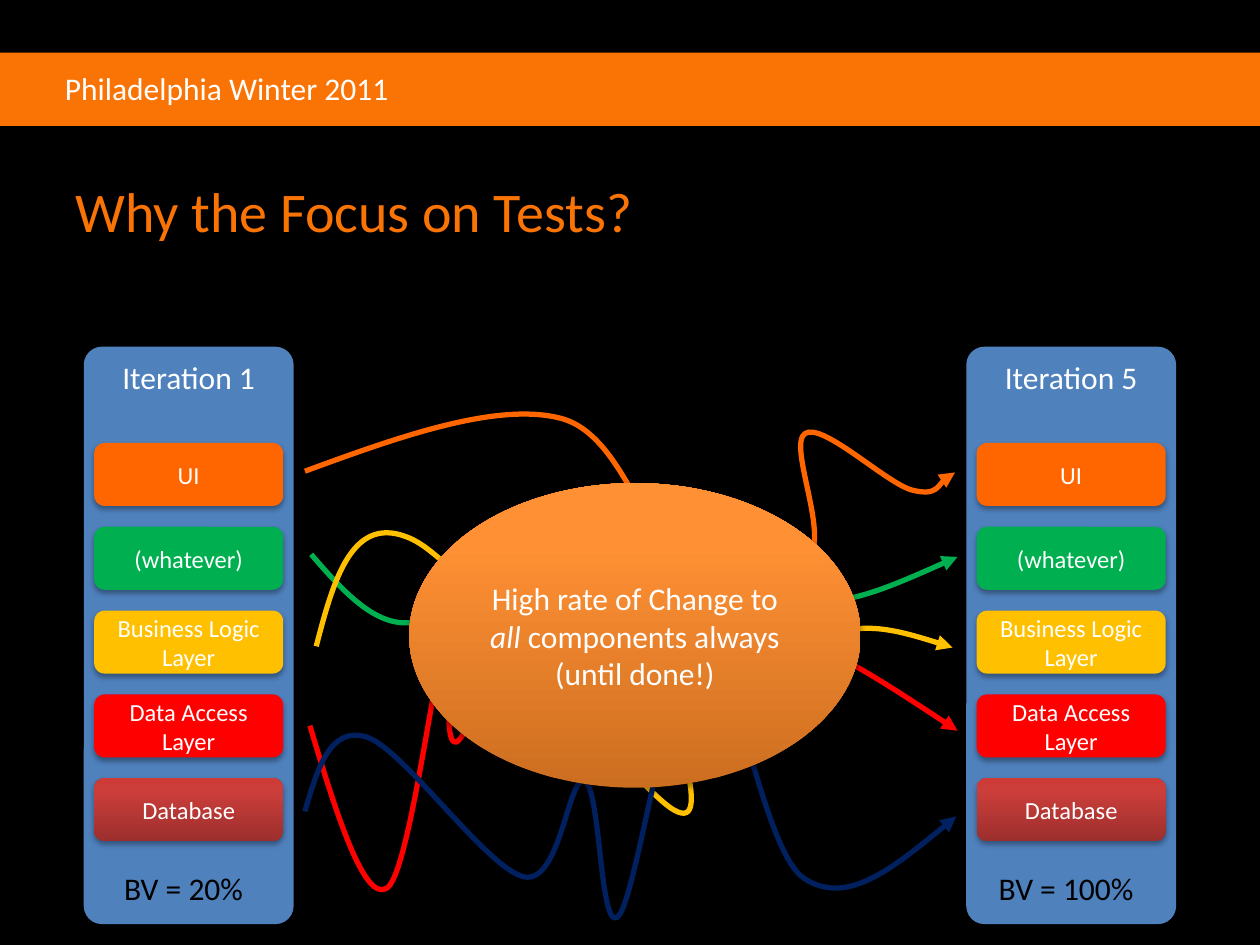
from copy import deepcopy

from lxml import etree
from pptx import Presentation, util as u
from pptx.dml.color import RGBColor
from pptx.enum import shapes, text
from pptx.oxml.ns import qn

THEME = {
    "font": "Calibri",
    "title": 32, "body": 18, "layer": 14,
    "black": "000000", "white": "FFFFFF", "accent": "FA7305",
    "column": "4F81BD", "orange": "FF6600", "green": "00B050",
    "yellow": "FFC000", "red": "FF0000", "navy": "002060",
    # Gradients run upwards: (position, colour)
    "brick": [(0, "9C2F2D"), (0.8, "CB3E3A"), (1, "CE3B37")],
    "glow": [(0, "CC6E20"), (0.8, "FF9034"), (1, "FF9136")],
}

COLUMNS = [  # left in cm, heading, business value
    (1.69, "Iteration 1", "BV = 20%"),
    (19.48, "Iteration 5", "BV = 100%"),
]
LAYERS = [
    ("UI", "orange"),
    ("(whatever)", "green"),
    ("Business Logic Layer", "yellow"),
    ("Data Access Layer", "red"),
    ("Database", "brick"),
]
COLUMN_TOP, COLUMN_WIDTH, COLUMN_HEIGHT = 6.99, 4.23, 11.64
LAYER_TOP, LAYER_STEP, LAYER_INSET = 8.93, 1.69, 0.21
LAYER_WIDTH, LAYER_HEIGHT = 3.81, 1.27

# Paths in thousandths of the slide width: start, then (incoming handle, knot) pairs
GRID = 0.0254
PATHS = [
    ("orange", (242, 374), [((395, 319), (445, 332)), ((512, 433), (545, 451)),
                            ((626, 460), (642, 442)), ((625, 353), (639, 344)),
                            ((704, 384), (724, 389)), ((760, 367), (758, 375))]),
    ("green", (247, 440), [((298, 498), (327, 494)), ((386, 417), (420, 418)),
                           ((502, 502), (528, 500)), ((555, 410), (574, 406)),
                           ((609, 470), (640, 476)), ((715, 462), (760, 442))]),
    ("yellow", (251, 513), [((280, 406), (327, 428)), ((500, 623), (535, 643)),
                            ((526, 557), (534, 546)), ((562, 590), (583, 583)),
                            ((630, 515), (659, 504)), ((722, 503), (756, 514))]),
    ("red", (246, 576), [((289, 716), (307, 705)), ((345, 526), (354, 507)),
                         ((349, 593), (362, 589)), ((401, 479), (435, 481)),
                         ((536, 599), (565, 603)), ((578, 510), (610, 506)),
                         ((701, 541), (760, 580))]),
    ("navy", (242, 644), [((262, 576), (291, 585)), ((387, 690), (416, 696)),
                          ((451, 615), (464, 620)), ((476, 744), (491, 727)),
                          ((532, 518), (557, 513)), ((604, 674), (638, 697)),
                          ((715, 684), (759, 648))]),
]
MESSAGE = [[("High rate of Change to ", False), ("all", True),
            (" components always", False)], [("(until done!)", False)]]


def rgb(name):
    return RGBColor.from_string(THEME[name])


def write(shape, paragraphs, size, color, align=None, anchor=text.MSO_ANCHOR.TOP):
    """Fill a shape with paragraphs, each a list of (words, italic)."""
    frame = shape.text_frame
    frame.word_wrap = True
    frame.vertical_anchor = anchor
    for index, spans in enumerate(paragraphs):
        para = frame.add_paragraph() if index else frame.paragraphs[0]
        para.alignment = align
        para.font.name = THEME["font"]
        para.font.size = u.Pt(THEME[size])
        para.font.color.rgb = rgb(color)
        for words, italic in spans:
            span = para.add_run()
            span.text = words
            if italic:
                span.font.italic = True


def add_label(page, place, words, size, color, **layout):
    box = page.shapes.add_textbox(*map(u.Cm, place))
    write(box, [[(words, False)]], size, color, **layout)


def paint(shape, name):
    if isinstance(THEME[name], str):
        shape.fill.solid()
        shape.fill.fore_color.rgb = rgb(name)
        return
    shape.fill.gradient()
    shape.fill.gradient_angle = 90
    stops = shape._element.spPr.find(".//" + qn("a:gsLst"))
    stops.append(deepcopy(stops[-1]))
    for stop, (position, color) in zip(shape.fill.gradient_stops, THEME[name]):
        stop.position = position
        stop.color.rgb = RGBColor.from_string(color)


def add_block(page, kind, place, color, raised=False):
    block = page.shapes.add_shape(kind, *map(u.Cm, place))
    paint(block, color)
    block.line.fill.background()
    block.shadow.inherit = False
    if raised:
        effects = block._element.spPr.find(qn("a:effectLst"))
        shadow = etree.SubElement(effects, qn("a:outerShdw"), blurRad="40000",
                                  dist="23000", dir="5400000", rotWithShape="0")
        tint = etree.SubElement(shadow, qn("a:srgbClr"), val=THEME["black"])
        etree.SubElement(tint, qn("a:alpha"), val="35000")
    return block


def add_curve(page, color, start, legs):
    """Draw a smooth arrow: each outgoing handle mirrors the incoming one."""
    first = legs[0][0]
    leaving = tuple((a + b) // 2 for a, b in zip(start, first))
    points = []
    for handle, knot in legs:
        points += [leaving, handle, knot]
        leaving = tuple(2 * k - h for k, h in zip(knot, handle))
    builder = page.shapes.build_freeform(*start, scale=u.Cm(GRID))
    builder.add_line_segments(points, close=False)
    curve = builder.convert_to_shape()
    outline = curve._element.spPr.find(".//" + qn("a:path"))
    segments = outline.findall(qn("a:lnTo"))
    for index in range(0, len(segments), 3):
        bezier = etree.SubElement(outline, qn("a:cubicBezTo"))
        for segment in segments[index:index + 3]:
            bezier.append(segment[0])
            outline.remove(segment)
    curve.fill.background()
    curve.line.color.rgb = rgb(color)
    curve.line.width = u.Pt(3)
    curve.shadow.inherit = False
    etree.SubElement(curve.line._get_or_add_ln(), qn("a:tailEnd"), type="triangle")


def add_column(page, left, heading, value):
    rounded, center = shapes.MSO_SHAPE.ROUNDED_RECTANGLE, text.PP_ALIGN.CENTER
    column = add_block(page, rounded,
                       (left, COLUMN_TOP, COLUMN_WIDTH, COLUMN_HEIGHT), "column")
    column.adjustments[0] = 0.086
    write(column, [[(heading, False)]], "body", "white", center)
    for row, (name, color) in enumerate(LAYERS):
        place = (left + LAYER_INSET, LAYER_TOP + row * LAYER_STEP,
                 LAYER_WIDTH, LAYER_HEIGHT)
        layer = add_block(page, rounded, place, color, raised=True)
        write(layer, [[(name, False)]], "layer", "white", center,
              text.MSO_ANCHOR.MIDDLE)
    add_label(page, (left, 17.4, 4.02, 1.02), value, "body", "black", align=center)


def main():
    deck = Presentation()
    deck.slide_width, deck.slide_height = u.Cm(25.4), u.Cm(19.05)
    page = deck.slides.add_slide(deck.slide_layouts[6])
    page.background.fill.solid()
    page.background.fill.fore_color.rgb = rgb("black")

    add_block(page, shapes.MSO_SHAPE.RECTANGLE, (0, 1.06, 25.4, 1.48), "accent")
    add_label(page, (1.06, 1.27, 7.11, 1.02), "Philadelphia Winter 2011",
              "body", "white")
    add_label(page, (1.27, 2.96, 22.86, 2.54), "Why the Focus on Tests?",
              "title", "accent", anchor=text.MSO_ANCHOR.MIDDLE)
    for column in COLUMNS:
        add_column(page, *column)
    for curve in PATHS:
        add_curve(page, *curve)
    change = add_block(page, shapes.MSO_SHAPE.OVAL, (8.25, 9.74, 9.1, 6.14),
                       "glow", raised=True)
    write(change, MESSAGE, "body", "white", text.PP_ALIGN.CENTER,
          text.MSO_ANCHOR.MIDDLE)
    deck.save("out.pptx")


if __name__ == "__main__":
    main()
